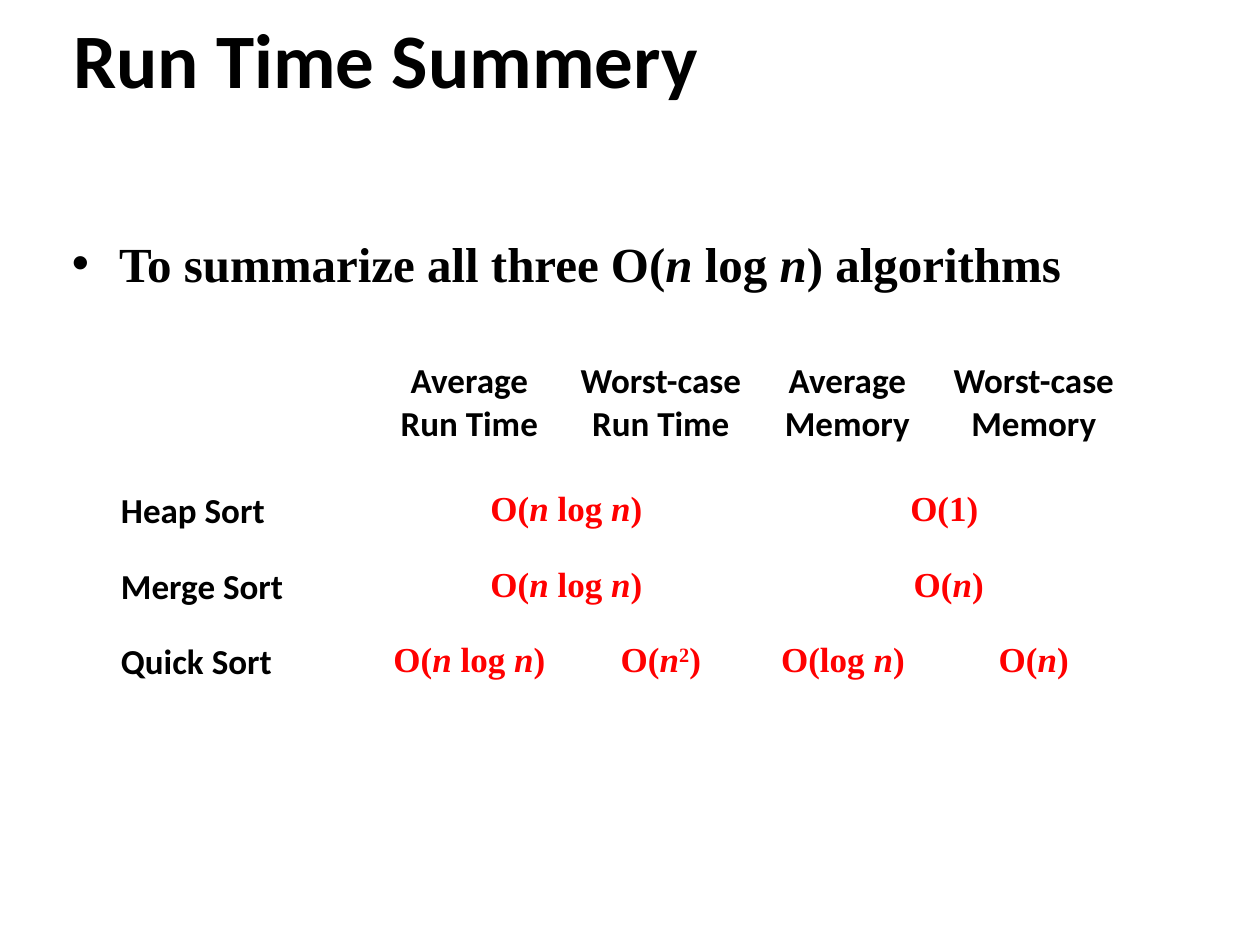
from pptx import Presentation
from pptx.dml.color import RGBColor
from pptx.enum.text import MSO_ANCHOR, MSO_AUTO_SIZE, PP_ALIGN
from pptx.util import Inches, Pt

LEFT, CENTER, JUSTIFY = PP_ALIGN.LEFT, PP_ALIGN.CENTER, PP_ALIGN.JUSTIFY
MIDDLE, TOP = MSO_ANCHOR.MIDDLE, MSO_ANCHOR.TOP
NO_AUTOFIT = MSO_AUTO_SIZE.NONE

HEADING_FONT, FORMULA_FONT = "Calibri", "Times New Roman"
BLACK, RED = "000000", "FF0000"

COLUMN_WIDTHS = [2.15, 1.43, 1.61, 1.35, 1.61]
ROW_HEIGHTS = [1.03, 0.6, 0.6, 0.6]
N_LOG_N = "O(|n| log |n|) "
# None continues the cell to its left.
RUN_TIMES = [
    ["", "Average\nRun Time", "Worst-case\nRun Time", "Average\nMemory", "Worst-case\nMemory"],
    ["Heap Sort", N_LOG_N, None, "O(1) ", None],
    ["Merge Sort", N_LOG_N, None, "O(|n|)", None],
    ["Quick Sort", N_LOG_N, "O(|n|2|)", "O(log |n|) ", "O(|n|)"],
]


def color(hex_string):
    return RGBColor.from_string(hex_string)


def write_text(text_frame, text, font=HEADING_FONT, size=20, hex_color=BLACK,
               align=LEFT, line_spacing=None):
    """Write one paragraph a line; between bars, n is italic and 2 is raised."""
    for index, line in enumerate(text.split("\n")):
        paragraph = text_frame.paragraphs[0] if index == 0 else text_frame.add_paragraph()
        paragraph.alignment = align
        paragraph.space_before = Pt(0)
        paragraph.line_spacing = line_spacing
        for piece in line.split("|"):
            run = paragraph.add_run()
            run.text = piece
            run.font.name = font
            run.font.size = Pt(size)
            run.font.bold = True
            run.font.italic = piece == "n"
            run.font.color.rgb = color(hex_color)
            if piece == "2":
                run.font._element.set("baseline", "30000")


def fill_placeholder(placeholder, box, text, anchor, **text_format):
    placeholder.left, placeholder.top, placeholder.width, placeholder.height = map(Inches, box)
    text_frame = placeholder.text_frame
    text_frame.auto_size = NO_AUTOFIT
    text_frame.vertical_anchor = anchor
    write_text(text_frame, text, **text_format)


def add_run_time_table(slide, left, top):
    """The default table style draws the thin white rules."""
    table = slide.shapes.add_table(
        len(ROW_HEIGHTS), len(COLUMN_WIDTHS), Inches(left), Inches(top),
        Inches(sum(COLUMN_WIDTHS)), Inches(sum(ROW_HEIGHTS))).table
    for column, width in zip(table.columns, COLUMN_WIDTHS):
        column.width = Inches(width)
    for row, height in zip(table.rows, ROW_HEIGHTS):
        row.height = Inches(height)

    for row_index, texts in enumerate(RUN_TIMES):
        for column_index, text in enumerate(texts):
            cell = table.cell(row_index, column_index)
            cell.fill.background()
            if text is None:
                table.cell(row_index, column_index - 1).merge(cell)
            elif text:
                is_formula = row_index > 0 and column_index > 0
                write_text(cell.text_frame, text,
                           font=FORMULA_FONT if is_formula else HEADING_FONT,
                           hex_color=RED if is_formula else BLACK,
                           align=CENTER if column_index > 0 else LEFT)


def main():
    presentation = Presentation()
    presentation.slide_width, presentation.slide_height = Inches(10), Inches(7.5)
    slide = presentation.slides.add_slide(presentation.slide_layouts[1])
    fill_placeholder(slide.shapes.title, (0.48, 0.08, 9.19, 0.75),
                     "Run Time Summery", MIDDLE, size=44)
    fill_placeholder(slide.placeholders[1], (0.47, 1.57, 9.06, 5.51),
                     "To summarize all three O(|n| log |n|) algorithms", TOP,
                     font=FORMULA_FONT, size=28, align=JUSTIFY, line_spacing=1.5)
    add_run_time_table(slide, 0.86, 2.81)
    presentation.save("out.pptx")


if __name__ == "__main__":
    main()
